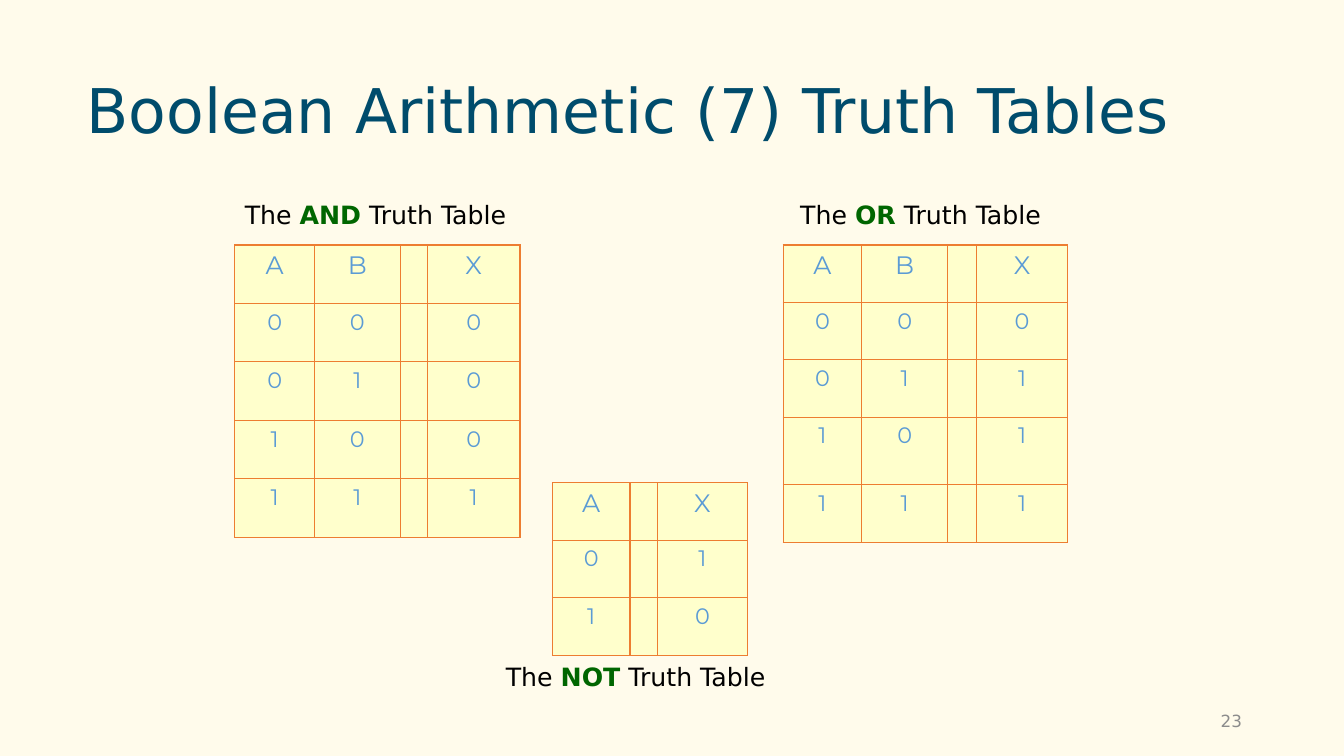
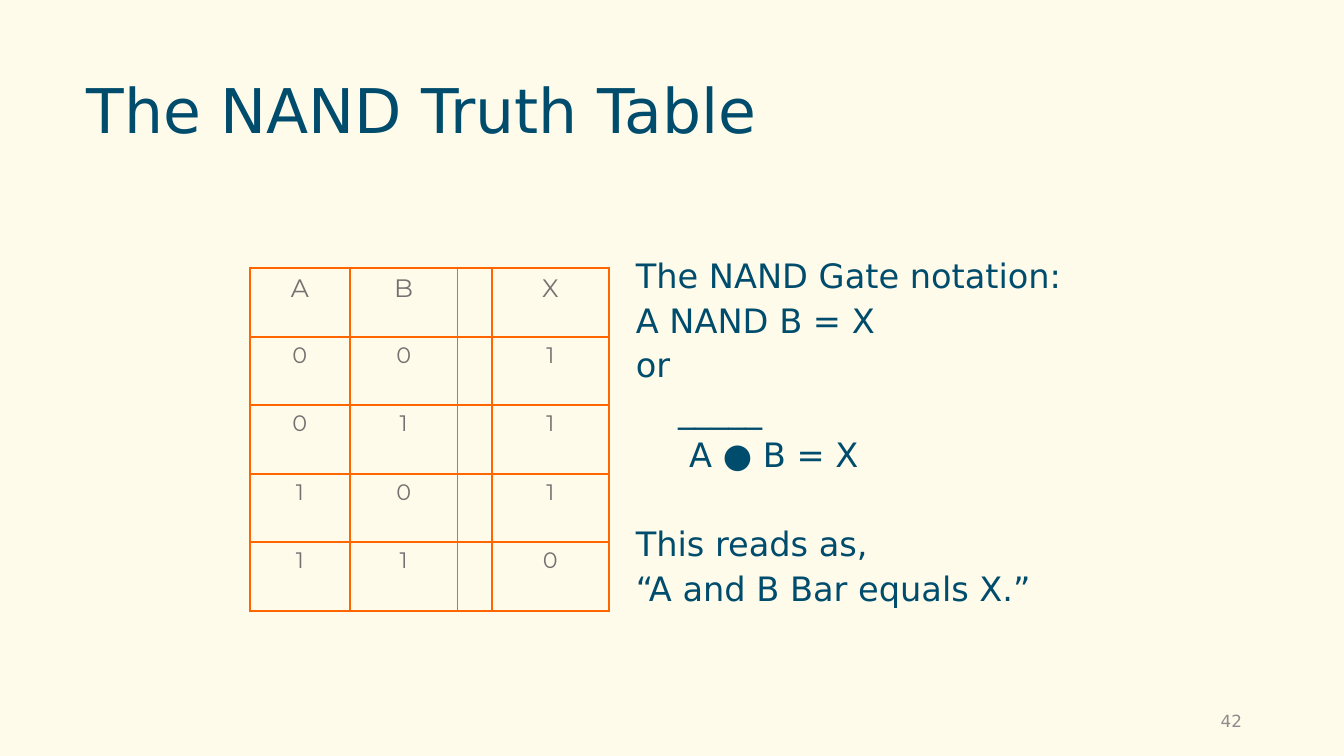
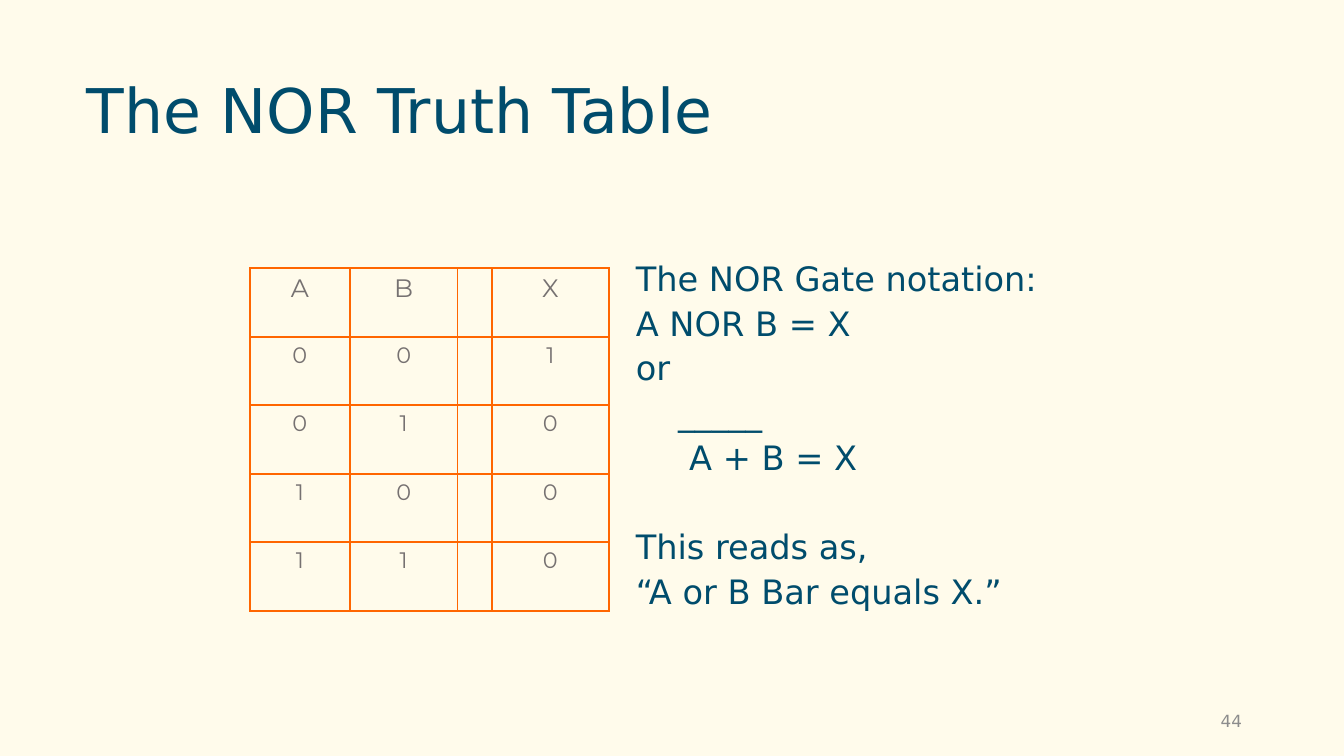
"""Build three slides on Boolean truth tables."""
from itertools import product
from lxml.etree import SubElement as Sub
from pptx import Presentation
from pptx.dml.color import RGBColor as Rgb
from pptx.enum.text import MSO_ANCHOR as Anchor, PP_ALIGN as Align
from pptx.oxml.ns import qn
from pptx.util import Emu, Inches as In, Pt

HUES = {
    "page": "FFFBEB", "title": "004C6C", "foot": "8C8C8C", "text": "000000",
    "key": "006600", "fill": "FFFFCC", "edge": "ED7D31", "blue": "5B9BD5",
    "line": "FF6600", "gray": "767171",
}
SANS, MONT = "DejaVu Sans", "Montserrat"
SOFT = {"edge": "edge", "width": 1, "ink": "blue", "fill": "fill"}
BOLD = {"edge": "line", "width": 1.5, "ink": "gray", "fill": None}

TRIO = [
    {"gate": "OR", "out": "0111", "at": (7.77, 2.43), "cap": (7.84, 1.93, 2.68),
     "cols": (0.78, 0.85, 0.29, 0.9), "rows": (0.57, 0.57, 0.57, 0.67, 0.57)},
    {"gate": "AND", "out": "0001", "at": (2.33, 2.43), "cap": (2.33, 1.93, 2.91),
     "cols": (0.79, 0.85, 0.27, 0.92), "rows": (0.58,) * 5},
    {"gate": "NOT", "out": "10", "at": (5.48, 4.79), "cap": (4.92, 6.51, 3.07),
     "cols": (0.77, 0.27, 0.9), "rows": (0.57,) * 3},
]
GATES = [
    {"gate": "NAND", "out": "1110", "sign": "●", "word": "and", "page": 42, "top": 2.52},
    {"gate": "NOR", "out": "1000", "sign": "+", "word": "or", "page": 44, "top": 2.55},
]
GRID = {"at": (2.48, 2.66), "cols": (0.99, 1.07, 0.34, 1.16), "rows": (0.68,) * 5}
PITCH, GAP = 25.9, 6


def style(run, size, hue, face=SANS, bold=False):
    font = run.font
    font.size, font.name, font.bold = Pt(size), face, bold
    font.color.rgb = Rgb.from_string(HUES[hue])


def add_box(slide, left, top, width, height):
    box = slide.shapes.add_textbox(In(left), In(top), In(width), In(height))
    box.text_frame.word_wrap = True
    return box.text_frame


def add_page(deck, title, page):
    slide = deck.slides.add_slide(deck.slide_layouts[6])
    head = add_box(slide, 0.76, 0.4, 11.81, 1.45)
    foot = add_box(slide, 9.42, 6.95, 3, 0.4)
    for frame, text, size, hue in ((head, title, 44, "title"), (foot, str(page), 12, "foot")):
        frame.text = text
        frame.vertical_anchor = Anchor.MIDDLE
        style(frame.paragraphs[0].runs[0], size, hue)
    head.paragraphs[0].line_spacing = 0.9
    foot.paragraphs[0].alignment = Align.RIGHT
    return slide


def truth(out):
    """List the rows of a truth table from its output bits."""
    count = len(out).bit_length() - 1
    return [[*"AB"[:count], "", "X"]] + [
        [*bits, "", bit] for bits, bit in zip(product("01", repeat=count), out)]


def draw_edge(cell, look):
    props = cell._tc.get_or_add_tcPr()
    for side in "LRTB":
        line = Sub(props, qn("a:ln" + side), w=str(Pt(look["width"])))
        Sub(Sub(line, qn("a:solidFill")), qn("a:srgbClr"), val=HUES[look["edge"]])


def add_grid(slide, out, at, cols, rows, look):
    left, top = at
    frame = slide.shapes.add_table(len(rows), len(cols), In(left), In(top),
                                   In(sum(cols)), In(sum(rows)))
    table = frame.table
    table.first_row = table.horz_banding = False
    for col, width in zip(table.columns, cols):
        col.width = In(width)
    for row, height in zip(table.rows, rows):
        row.height = In(height)
    for i, line in enumerate(truth(out)):
        for j, text in enumerate(line):
            cell = table.cell(i, j)
            draw_edge(cell, look)
            if look["fill"]:
                cell.fill.solid()
                cell.fill.fore_color.rgb = Rgb.from_string(HUES[look["fill"]])
            else:
                cell.fill.background()
            if text:
                cell.text_frame.text = text
                par = cell.text_frame.paragraphs[0]
                par.alignment = Align.CENTER
                style(par.runs[0], 16 if i else 18, look["ink"], MONT)


def add_cap(slide, gate, cap):
    par = add_box(slide, *cap, 0.41).paragraphs[0]
    for text, hue in (("The ", "text"), (gate, "key"), (" Truth Table", "text")):
        run = par.add_run()
        run.text = text
        style(run, 18, hue, bold=hue == "key")


def add_note(slide, gate, sign, word, top):
    lines = [
        (f"The {gate} Gate notation:", 0, 0), (f"A {gate} B = X", 0, GAP),
        ("or", 0, GAP), ("_____", 0.42, GAP), (f"A {sign} B = X", 0.53, GAP),
        ("This reads as,", 0, 2 * GAP + PITCH), (f"“A {word} B Bar equals X.”", 0, GAP),
    ]
    frame = add_box(slide, 6.21, top, 4.76, 3.6)
    frame.text = "\n".join(text for text, _, _ in lines)
    for par, (_, dent, gap) in zip(frame.paragraphs, lines):
        par.line_spacing, par.space_before = Pt(PITCH), Pt(gap)
        par._p.get_or_add_pPr().set("marL", str(In(dent)))
        style(par.runs[0], 24, "title")


def main():
    deck = Presentation()
    deck.slide_width, deck.slide_height = Emu(12192000), In(7.5)
    back = deck.slide_master.background.fill
    back.solid()
    back.fore_color.rgb = Rgb.from_string(HUES["page"])

    slide = add_page(deck, "Boolean Arithmetic (7) Truth Tables", 23)
    for item in TRIO:
        add_grid(slide, item["out"], item["at"], item["cols"], item["rows"], SOFT)
        add_cap(slide, item["gate"], item["cap"])
    for item in GATES:
        slide = add_page(deck, f"The {item['gate']} Truth Table", item["page"])
        add_note(slide, item["gate"], item["sign"], item["word"], item["top"])
        add_grid(slide, item["out"], **GRID, look=BOLD)
    deck.save("out.pptx")


if __name__ == "__main__":
    main()
